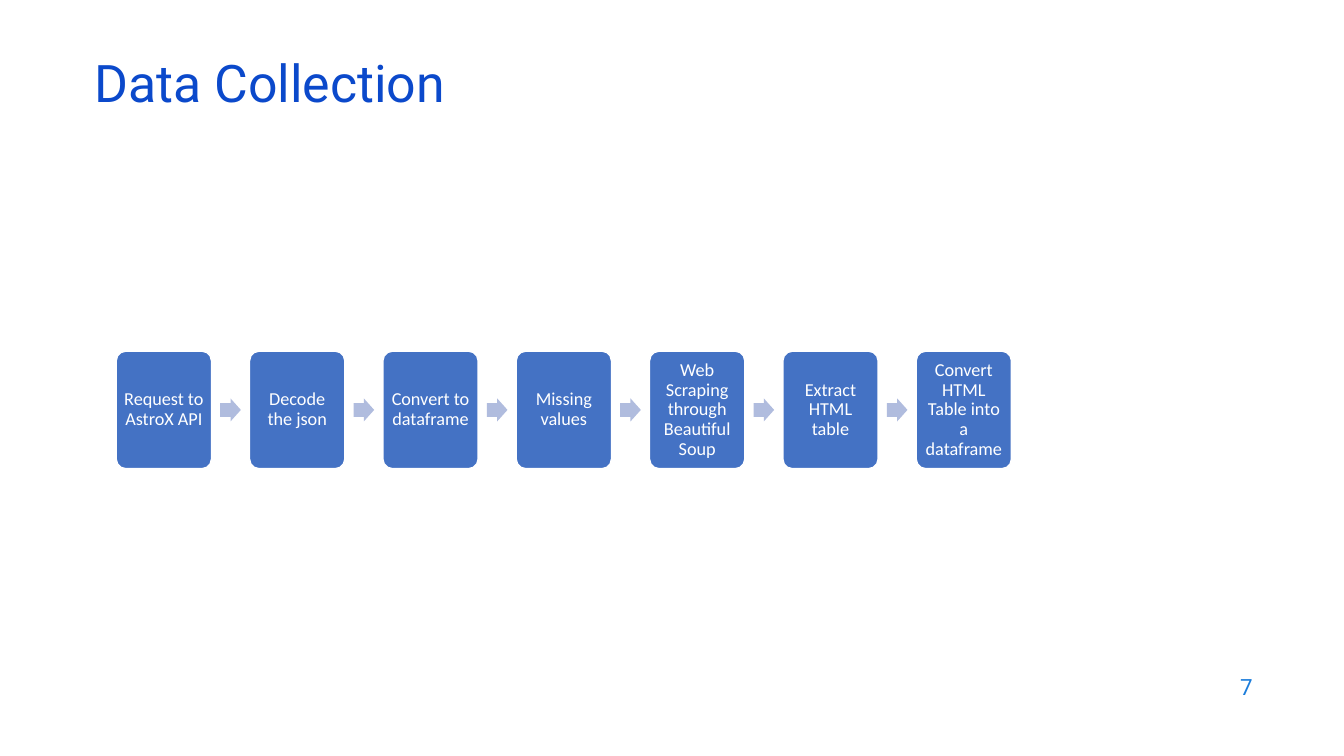
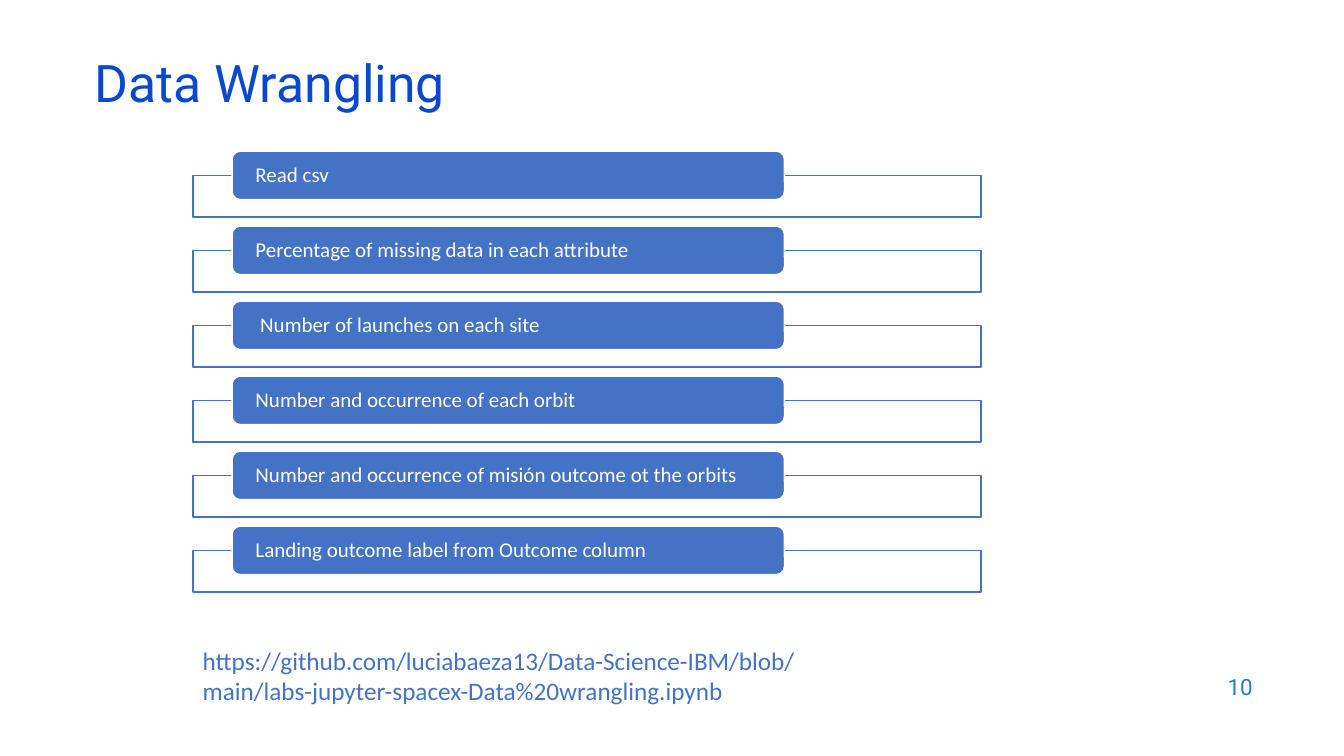
from pptx import Presentation
from pptx.dml.color import RGBColor
from pptx.enum.shapes import MSO_SHAPE
from pptx.enum.text import MSO_ANCHOR, MSO_AUTO_SIZE, PP_ALIGN
from pptx.util import Cm, Pt

# Content
FLOW = {
    "title": "Data Collection",
    "page": "7",
    "steps": [
        "Request to AstroX API",
        "Decode the json",
        "Convert to dataframe",
        "Missing values",
        "Web Scraping through Beautiful Soup",
        "Extract HTML table",
        "Convert HTML Table into a dataframe",
    ],
}
LIST = {
    "title": "Data Wrangling",
    "page": "10",
    # Each row: text, extra indent in cm
    "rows": [
        ("Read csv", 0),
        ("Percentage of missing data in each attribute", 0),
        ("Number of launches on each site", 0.12),
        ("Number and occurrence of each orbit", 0),
        ("Number and occurrence of misión outcome ot the orbits", 0),
        ("Landing outcome label from Outcome column", 0),
    ],
    "link": "https://github.com/luciabaeza13/Data-Science-IBM/blob/"
            "main/labs-jupyter-spacex-Data%20wrangling.ipynb",
}

# Shared look
HUES = {"title": "0B49CB", "page": "1C7DDB", "main": "4472C4",
        "arrow": "B0BCDE", "white": "FFFFFF"}
LEFT, MID, RIGHT = PP_ALIGN.LEFT, PP_ALIGN.CENTER, PP_ALIGN.RIGHT
STYLES = {
    "title": dict(name="Roboto", size=37, hue="title", align=LEFT, line=0.7),
    "page": dict(name="Roboto", size=16, hue="page", align=RIGHT, line=1.0),
    "step": dict(name="Calibri", size=13, hue="white", align=MID, line=0.9),
    "row": dict(name="Calibri", size=15, hue="white", align=LEFT, line=0.9),
    "link": dict(name="Calibri", size=18, hue="main", align=LEFT, line=1.0),
}


def color(key):
    return RGBColor.from_string(HUES[key])


def assign(item, values):
    for key, value in values.items():
        setattr(item, key, value)


def write(shape, text, kind, pads=None, anchor=MSO_ANCHOR.MIDDLE):
    """Put styled text in a shape; pads are left, top, right, bottom in cm."""
    look, frame = STYLES[kind], shape.text_frame
    assign(frame, dict(text=text, word_wrap=True, vertical_anchor=anchor,
                       auto_size=MSO_AUTO_SIZE.NONE))
    if pads:
        sides = ("left", "top", "right", "bottom")
        assign(frame, {f"margin_{s}": Cm(p) for s, p in zip(sides, pads)})
    para = frame.paragraphs[0]
    assign(para, dict(alignment=look["align"], line_spacing=look["line"]))
    assign(para.font, dict(name=look["name"], size=Pt(look["size"])))
    para.font.color.rgb = color(look["hue"])


def place(slide, form, area, fill, line=None):
    shape = slide.shapes.add_shape(form, *map(Cm, area))
    shape.shadow.inherit = False
    shape.fill.solid()
    shape.fill.fore_color.rgb = color(fill)
    if line:
        shape.line.color.rgb = color(line)
        shape.line.width = Pt(1)
    else:
        shape.line.fill.background()
    return shape


def label(slide, area, *args, **opts):
    write(slide.shapes.add_textbox(*map(Cm, area)), *args, **opts)


def begin(deck, data):
    """Add a slide with its title and page number."""
    slide = deck.slides.add_slide(deck.slide_layouts[5])
    title = slide.shapes.title
    assign(title, dict(left=Cm(2.13), top=Cm(1.5), width=Cm(29.2), height=Cm(1.52)))
    write(title, data["title"], "title")
    label(slide, (24.2, 16.74, 7.62, 1.12), data["page"], "page")
    return slide


def flow(deck, data):
    """Row of boxes with an arrow in each gap."""
    slide = begin(deck, data)
    left, top, wide, high, pitch = 2.93, 8.85, 2.4, 2.96, 3.36
    across, tall = 0.52, 0.58
    for i, text in enumerate(data["steps"]):
        x = left + i * pitch
        if i:
            spot = (x - (pitch - wide + across) / 2, top + (high - tall) / 2, across, tall)
            arrow = place(slide, MSO_SHAPE.RIGHT_ARROW, spot, "arrow")
            arrow.adjustments[0] = 0.6
        box = place(slide, MSO_SHAPE.ROUNDED_RECTANGLE, (x, top, wide, high), "main", "white")
        box.adjustments[0] = 0.1
        write(box, text, "step", (0.13,) * 4)


def rows(deck, data):
    """Stack of outlined panels, each headed by a bar."""
    slide = begin(deck, data)
    top, high, pitch = 3.81, 1.22, 1.89
    for i, (text, indent) in enumerate(data["rows"]):
        y = top + i * pitch
        place(slide, MSO_SHAPE.RECTANGLE, (4.86, y + high / 2, 19.86, 1.05), "white", "main")
        bar = place(slide, MSO_SHAPE.ROUNDED_RECTANGLE, (5.85, y, 13.92, high), "main", "white")
        write(bar, text, "row", (0.53 + indent, 0, 0.53, 0))
    label(slide, (4.86, 16.13, 16.94, 1.8), data["link"], "link", anchor=MSO_ANCHOR.TOP)


def main():
    deck = Presentation()
    assign(deck, dict(slide_width=Cm(33.87), slide_height=Cm(19.05)))
    flow(deck, FLOW)
    rows(deck, LIST)
    deck.save("out.pptx")


if __name__ == "__main__":
    main()
